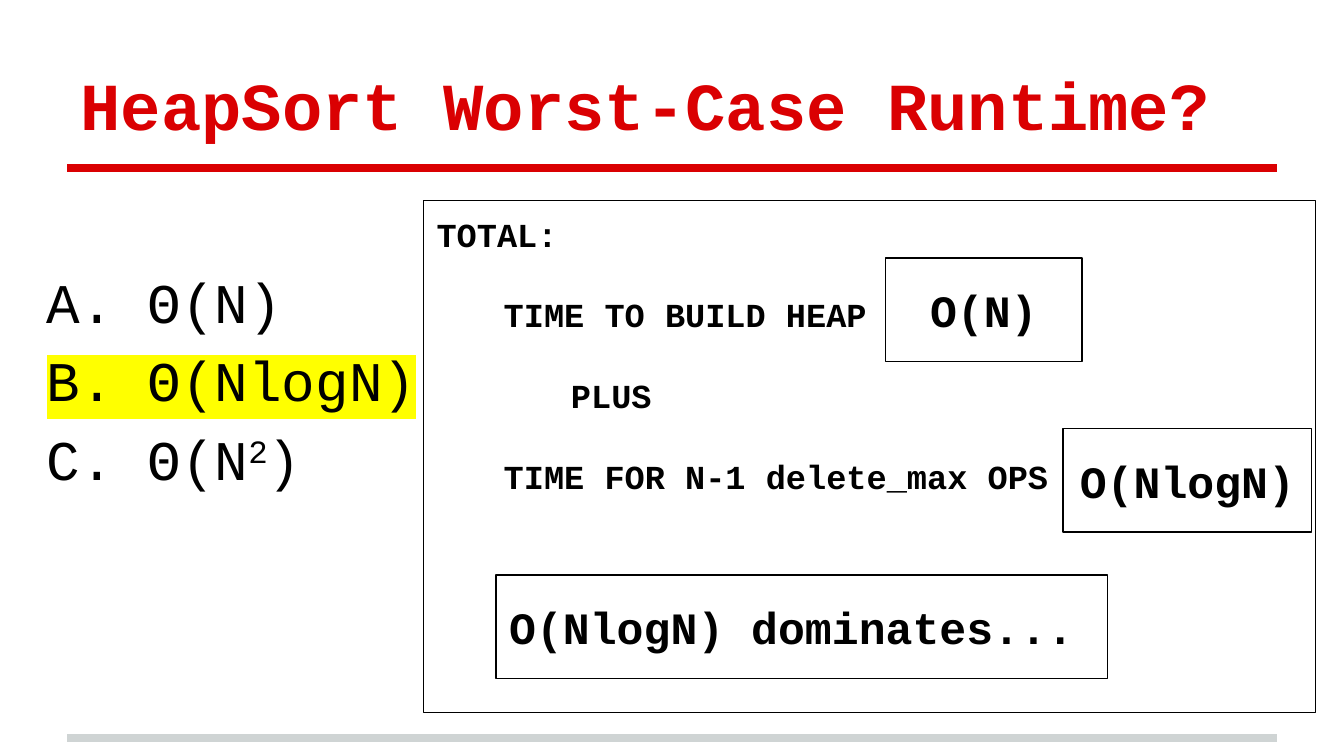
from lxml import etree
from pptx import Presentation
from pptx.dml.color import RGBColor
from pptx.enum.shapes import MSO_CONNECTOR, MSO_SHAPE
from pptx.enum.text import MSO_ANCHOR, PP_ALIGN
from pptx.oxml.ns import qn
from pptx.util import Inches, Pt

COLORS = {"red": "DA0002", "gray": "CFD4D4", "black": "000000", "yellow": "FFFF00"}
FONT = "Courier New"
TITLE = "HeapSort Worst-Case Runtime?"
RULES = [(5.49, "gray"), (1.25, "red")]
CHOICES = [
    [("A. Θ(N)", None)],
    [("B. Θ(NlogN)", "highlight")],
    [("C. Θ(N", None), ("2", "super"), (")", None)],
]
STEPS = [
    ("TOTAL:", 0),
    ("TIME TO BUILD HEAP", 0.5),
    ("PLUS", 1),
    ("TIME FOR N-1 delete_max OPS", 0.5),
]
COSTS = [
    ("O(N)", 6.59, 1.92, 1.46, PP_ALIGN.CENTER),
    ("O(NlogN)", 7.91, 3.19, 1.85, PP_ALIGN.CENTER),
    ("O(NlogN) dominates...", 3.69, 4.28, 4.55, PP_ALIGN.LEFT),
]


def rgb(name):
    return RGBColor.from_string(COLORS[name])


def set_frame(sp, anchor, top=0.1):
    tf = sp.text_frame
    tf.word_wrap = True
    tf.vertical_anchor = anchor
    tf.margin_left = tf.margin_right = tf.margin_bottom = Inches(0.1)
    tf.margin_top = Inches(top)
    return tf


def next_paragraph(tf, index, gap=0, align=PP_ALIGN.LEFT):
    p = tf.add_paragraph() if index else tf.paragraphs[0]
    p.alignment = align
    p.space_before = Pt(gap if index else 0)
    return p


def add_run(p, words, size, color="black", bold=True):
    r = p.add_run()
    r.text = words
    r.font.name = FONT
    r.font.size = Pt(size)
    r.font.bold = bold
    r.font.color.rgb = rgb(color)
    return r


def add_highlight(r, color):
    mark = etree.Element(qn("a:highlight"))
    etree.SubElement(mark, qn("a:srgbClr"), val=COLORS[color])
    r.font._element.find(qn("a:solidFill")).addnext(mark)


def add_box(s, left, top, width, height):
    sp = s.shapes.add_shape(MSO_SHAPE.RECTANGLE, Inches(left), Inches(top),
                            Inches(width), Inches(height))
    sp.shadow.inherit = False
    sp.fill.background()
    sp.line.color.rgb = rgb("black")
    sp.line.width = Pt(0.75)
    return sp


def main():
    prs = Presentation()
    prs.slide_width, prs.slide_height = Inches(10), Inches(10 * 9 / 16)
    s = prs.slides.add_slide(prs.slide_layouts[5])

    for y, color in RULES:
        rule = s.shapes.add_connector(MSO_CONNECTOR.STRAIGHT, Inches(0.5), Inches(y),
                                      Inches(9.5), Inches(y))
        rule.line.color.rgb = rgb(color)
        rule.line.width = Pt(4)
        etree.SubElement(rule._element.spPr, qn("a:effectLst"))

    title = s.shapes.title
    title.left, title.top = Inches(0.5), Inches(0.23)
    title.width, title.height = Inches(9), Inches(0.94)
    tf = set_frame(title, MSO_ANCHOR.BOTTOM)
    add_run(next_paragraph(tf, 0), TITLE, 36, "red")

    choices = s.shapes.add_textbox(Inches(0.25), Inches(1.31), Inches(3.04), Inches(4.07))
    tf = set_frame(choices, MSO_ANCHOR.TOP, 0.68)
    for i, parts in enumerate(CHOICES):
        p = next_paragraph(tf, i, 6)
        for words, style in parts:
            r = add_run(p, words, 30, bold=False)
            if style == "highlight":
                add_highlight(r, "yellow")
            elif style == "super":
                r.font._element.set("baseline", "30000")

    tf = set_frame(add_box(s, 3.15, 1.49, 6.64, 3.81), MSO_ANCHOR.TOP)
    for i, (words, indent) in enumerate(STEPS):
        p = next_paragraph(tf, i, 21.6)
        p._p.get_or_add_pPr().set("marL", str(Inches(indent)))
        add_run(p, words, 18)

    for words, left, top, width, align in COSTS:
        tf = set_frame(add_box(s, left, top, width, 0.77), MSO_ANCHOR.MIDDLE)
        add_run(next_paragraph(tf, 0, align=align), words, 24)

    prs.save("out.pptx")


if __name__ == "__main__":
    main()
